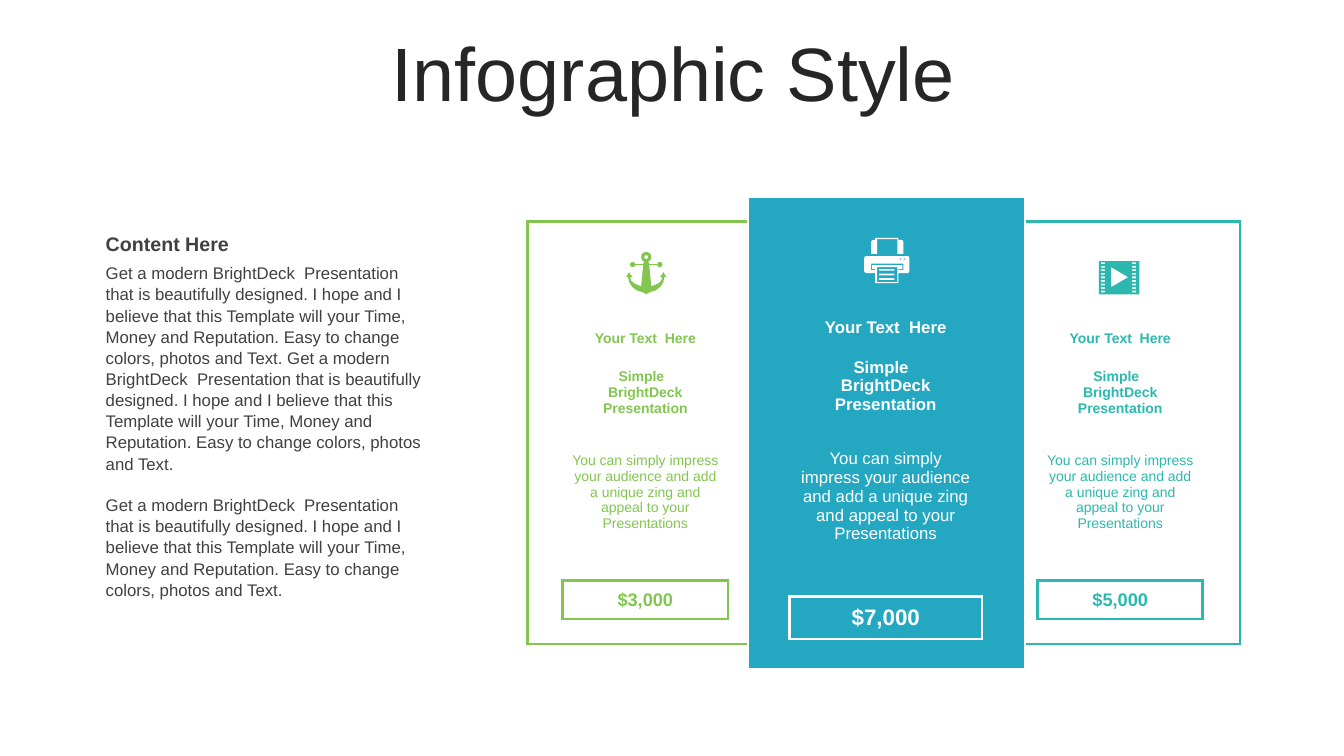
from lxml.etree import SubElement as Sub
from pptx import Presentation
from pptx.dml.color import RGBColor as Rgb
from pptx.enum.text import MSO_ANCHOR as Anchor, PP_ALIGN as Align
from pptx.oxml.ns import qn
from pptx.util import Inches, Pt

INK = {"title": "262626", "body": "404040", "green": "82C650",
       "blue": "24A8C2", "teal": "2CB8AE", "white": "FFFFFF"}
deck = Presentation()
deck.slide_width, deck.slide_height = Inches(13.33), Inches(7.5)
unit = deck.slide_width // 1333
page = deck.slides.add_slide(deck.slide_layouts[6])


def write(para, text, size, ink, bold=False):
    run = para.add_run()
    run.text = text
    run.font.name, run.font.size, run.font.bold = "Arial", Pt(size), bold
    run.font.color.rgb = Rgb.from_string(INK[ink])


def trace(steps):
    dots = []
    for step in steps:
        if len(step) == 2:
            dots.append(step)
            continue
        knots = [dots[-1], step[:2], step[2:4], step[4:]]
        for t in (0.25, 0.5, 0.75, 1):
            mix = ((1 - t) ** 3, 3 * t * (1 - t) ** 2, 3 * t * t * (1 - t), t ** 3)
            dots.append(tuple(sum(m * k[i] for m, k in zip(mix, knots)) for i in (0, 1)))
    return dots


BLURB = ("You can simply impress your audience and add a unique zing "
         "and appeal to your Presentations")
SMALL = {"y": 220, "cols": (35, 164, 37), "rows": (100, 33, 73, 125, 25, 38, 25),
         "pad": (8, 4), "size": 10, "cost": 13, "rim": 2.25}
LARGE = {"y": 196, "cols": (41, 191, 43), "rows": (111, 36, 80, 139, 30, 42, 30),
         "pad": (10, 5), "size": 12, "cost": 16, "rim": 1.5}
BOX = {(5, 1): "LRTB", (5, 0): "R", (5, 2): "L", (4, 1): "B", (6, 1): "T"}
PLANS = [(994, SMALL, "teal", "white", "$5,000"),
         (523, SMALL, "green", "white", "$3,000"),
         (742, LARGE, "white", "blue", "$7,000")]

for left, kind, ink, back, cost in PLANS:
    cols, rows, size = kind["cols"], kind["rows"], kind["size"]
    grid = page.shapes.add_table(7, 3, left * unit, kind["y"] * unit,
                                 sum(cols) * unit, sum(rows) * unit).table
    grid.first_row = grid.horz_banding = False
    style = grid._tbl.tblPr.find(qn("a:tableStyleId"))
    style.text = "{2D5ABB26-0587-4C30-8999-92F81FD0307C}"
    for c, wide in enumerate(cols):
        grid.columns[c].width = wide * unit
    words = {1: (["Your Text  Here"], size, True),
             2: (["Simple  ", "BrightDeck Presentation"], size, True),
             3: ([BLURB], size, False),
             5: ([cost], kind["cost"], True)}
    for r, high in enumerate(rows):
        grid.rows[r].height = high * unit
        for c in range(3):
            cell = grid.cell(r, c)
            cell.vertical_anchor = Anchor.MIDDLE
            cell.margin_left = cell.margin_right = kind["pad"][0] * unit
            cell.margin_top = cell.margin_bottom = kind["pad"][1] * unit
            rim = {"L": c == 0, "R": c == 2, "T": r == 0, "B": r == 6}
            for side in "LRTB":
                boxed = side in BOX.get((r, c), "")
                if boxed or rim[side]:
                    width = 2.25 if boxed else kind["rim"]
                    line = Sub(cell._tc.get_or_add_tcPr(), qn("a:ln" + side), w=str(Pt(width)))
                    Sub(Sub(line, qn("a:solidFill")), qn("a:srgbClr"), val=INK[ink])
            cell.fill.solid()
            cell.fill.fore_color.rgb = Rgb.from_string(INK[back])
            frame = cell.text_frame
            if c == 1 and r in words:
                texts, points, bold = words[r]
                for n, text in enumerate(texts):
                    para = frame.add_paragraph() if n else frame.paragraphs[0]
                    para.alignment = Align.CENTER
                    write(para, text, points, ink, bold)
            else:
                Sub(frame.paragraphs[0]._p, qn("a:endParaRPr"), sz="800")

PITCH = ("Get a modern BrightDeck  Presentation that is beautifully designed. "
         "I hope and I believe that this Template will your Time, Money and "
         "Reputation. Easy to change colors, photos and Text.")
NOTES = [((35, 37, 1266, 79), ["Infographic Style"], 54, "title", False, 0.9, 10),
         ((95, 255, 341, 333), [PITCH + " " + PITCH, PITCH], 12, "body", False, 1.05, 14.5),
         ((95, 225, 341, 34), ["Content Here"], 14, "body", True, 1, 0)]
for spot, texts, size, ink, bold, lead, gap in NOTES:
    frame = page.shapes.add_textbox(*[v * unit for v in spot]).text_frame
    frame.word_wrap = True
    for n, text in enumerate(texts):
        para = frame.add_paragraph() if n else frame.paragraphs[0]
        para.line_spacing = lead
        if n or ink == "title":
            para.space_before = Pt(gap)
        if ink == "title":
            para.alignment = Align.CENTER
            frame.vertical_anchor = Anchor.MIDDLE
        write(para, text, size, ink, bold)

film = [[(0, 0), (40, 0), (40, 33), (0, 33)], [(12, 6), (12, 26), (29, 16)]]
for n in range(9):
    top = 1.3 + 3.5 * n
    for x in (2, 33):
        film.append([(x, top), (x + 4, top), (x + 4, top + 1.8), (x, top + 1.8)])

half = trace([(0, 0), (3, 0, 5, 2, 5, 5), (5, 7, 4, 8, 3, 9), (2, 9), (3, 12),
              (11, 12), (11.5, 10.5, 12, 10, 13.5, 10), (15, 10, 16, 11, 16, 12.5),
              (16, 14, 15, 15, 13.5, 15), (12, 15, 11.5, 14.5, 11, 13), (3, 13),
              (5, 34), (11, 32, 16, 30, 16, 24.5), (15, 25, 14, 25, 13.5, 25),
              (15, 23, 16, 22, 17, 20), (18, 22, 19, 23, 20, 25),
              (20, 25, 19, 25, 18, 24.5), (18, 32, 12, 39, 3, 40), (2, 41, 1, 41, 0, 42)])
ring = [(0, 3), (1, 3, 2, 4, 2, 5), (2, 6, 1, 7, 0, 7),
        (-1, 7, -2, 6, -2, 5), (-2, 4, -1, 3, 0, 3)]
anchor = [half + [(-x, y) for x, y in reversed(half)], ring]

press = [[(3, 18), (43, 18), (44, 18, 45, 19, 45, 21), (45, 32), (45, 34, 44, 35, 43, 35),
          (34, 35), (34, 45), (11, 45), (11, 35), (3, 35), (1, 35, 0, 34, 0, 32),
          (0, 21), (0, 19, 1, 18, 3, 18)],
         [(11, 0), (34, 0), (34, 2), (37, 2), (38, 2, 39, 3, 39, 5), (39, 16), (33, 16),
          (33, 1.3), (13, 1.3), (13, 16), (7, 16), (7, 5), (7, 3, 8, 2, 9, 2), (11, 2)],
         [(7, 25.5), (7, 32), (11, 32), (11, 31), (8, 31), (8, 27), (38, 27), (38, 31),
          (34, 31), (34, 32), (39, 32), (39, 25.5)],
         [(13, 29), (13, 44), (33, 44), (33, 29)]]
for top in (31, 35.5, 40):
    press.append([(15, top), (30, top), (30, top + 1.6), (15, top + 1.6)])
for x in (36, 40):
    press.append([(x, 20), (x + 1, 21), (x, 22), (x - 1, 21)])

for left, top, ink, loops in [(1090, 259, "teal", film), (641, 250, "green", anchor),
                              (857, 236, "white", press)]:
    pen = None
    for loop in loops:
        dots = [((left + x) * unit, (top + y) * unit) for x, y in trace(loop)]
        if pen:
            pen.move_to(*dots[0])
        else:
            pen = page.shapes.build_freeform(*dots[0], scale=1.0)
        pen.add_line_segments(dots[1:], close=True)
    icon = pen.convert_to_shape()
    icon.shadow.inherit = False
    icon.fill.solid()
    icon.fill.fore_color.rgb = Rgb.from_string(INK[ink])
    icon.line.fill.background()

deck.save("out.pptx")
